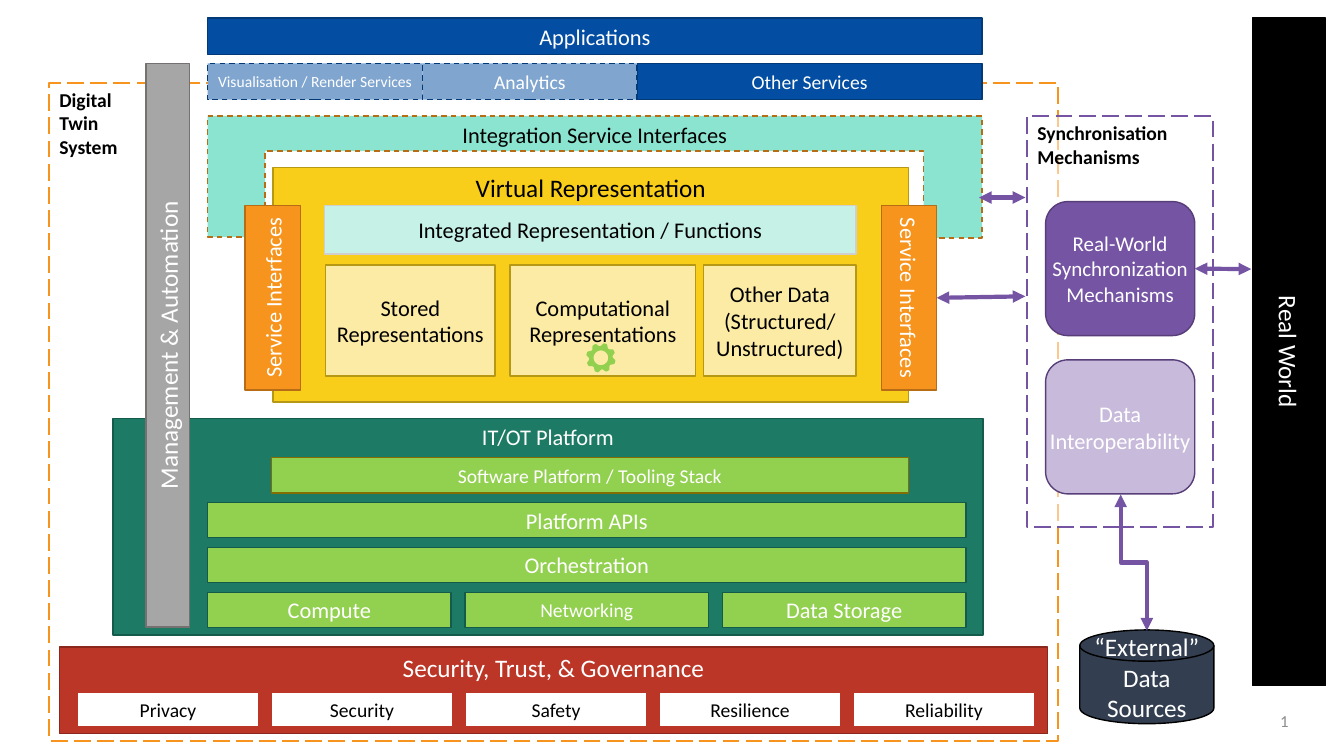
import math
from dataclasses import dataclass

import pptx
import pptx.dml.color
import pptx.enum.dml
import pptx.enum.shapes
import pptx.enum.text
import pptx.oxml
import pptx.oxml.ns
import pptx.util

Inches = pptx.util.Inches
Kind = pptx.enum.shapes.MSO_SHAPE
Link = pptx.enum.shapes.MSO_CONNECTOR
Dash = pptx.enum.dml.MSO_LINE
Anchor = pptx.enum.text.MSO_ANCHOR
Align = pptx.enum.text.PP_ALIGN


@dataclass(frozen=True)
class Theme:
    font: str = "Calibri"
    white: str = "FFFFFF"
    black: str = "000000"
    grey: str = "8C8C8C"
    blue: tuple = ("034EA2", "023A78")
    pale_blue: tuple = ("80A6D0", "023A78")
    yellow: tuple = ("F8CE1B", "B79814")
    cream: tuple = ("FCEBA4", "B79814")
    mint: tuple = ("C5F1E7", "D0CECE")
    aqua: tuple = ("8BE4CF", "B76D15")
    orange: tuple = ("F7941D", "B76D15")
    green: tuple = ("1D7B65", "155B4B")
    lime: tuple = ("92D050", "155B4B")
    tooling: tuple = ("92D050", "856D04")
    gear: tuple = ("92D050", "92D050")
    red: tuple = ("BB3627", "8A281D")
    pillar: tuple = ("FFFFFF", "BB3627")
    steel: tuple = ("A6A6A6", "767171")
    purple: tuple = ("7554A3", "573E79")
    lilac: tuple = ("C8BADB", "573E79")
    night: tuple = ("333F50", "000000")
    world: tuple = ("000000", "000000")
    system: tuple = ("FFFFFF", "F7941D")
    sync: tuple = ("FFFFFF", "7554A3")
    large: float = 18
    normal: float = 16
    medium: float = 15
    small: float = 14
    number: float = 12
    tiny: float = 11.1


theme = Theme()

# Content: text, format, and relative width where the columns differ
SERVICES = [
    ("Visualisation / Render Services", 2.13, dict(size=theme.tiny, colours=theme.pale_blue, dash=Dash.DASH, insets=(0.04,) * 4)),
    ("Analytics", 2.13, dict(size=theme.small, colours=theme.pale_blue, dash=Dash.DASH)),
    ("Other Services", 3.42, dict(size=theme.small, colours=theme.blue)),
]
REPRESENTATIONS = [
    ("Stored Representations", 3.23, 1.68),
    ("Computational Representations", 5.06, 1.84),
    ("Other Data\n(Structured/\nUnstructured)", 6.98, 1.51),
]
PLATFORM_ROWS = ["Platform APIs", "Orchestration"]
RESOURCES = [("Compute", theme.normal), ("Networking", theme.small), ("Data Storage", theme.normal)]
PILLARS = ["Privacy", "Security", "Safety", "Resilience", "Reliability"]
MECHANISMS = [
    ("Real-World\nSynchronization\nMechanisms", 2.0, theme.medium, theme.purple),
    ("Data\nInteroperability", 3.57, theme.normal, theme.lilac),
]

# Shared grid lines, in inches
STACK_LEFT, STACK_WIDTH = 2.06, 7.68
BAR_HEIGHT = 0.36
PLATFORM_TOP, PLATFORM_STEP, PLATFORM_WIDTH = 4.54, 0.445, 7.52
ROW_HEIGHT = 0.35

deck = pptx.Presentation()
deck.slide_width, deck.slide_height = Inches(13.33), Inches(7.5)
page = deck.slides.add_slide(deck.slide_layouts[6])


def rgb(value):
    return pptx.dml.color.RGBColor.from_string(value)


def write(shape, text, size=theme.normal, colour=theme.white, bold=False, align=Align.CENTER,
          anchor=Anchor.MIDDLE, insets=(0.1, 0.05, 0.1, 0.05), turn=None, wrap=True):
    frame = shape.text_frame
    frame.word_wrap = wrap
    frame.vertical_anchor = anchor
    frame.margin_left, frame.margin_top, frame.margin_right, frame.margin_bottom = map(Inches, insets)
    if turn:
        frame._txBody.bodyPr.set("vert", turn)
    for index, line in enumerate(text.split("\n")):
        para = frame.paragraphs[0] if index == 0 else frame.add_paragraph()
        para.alignment = align
        span = para.add_run()
        span.text = line
        span.font.name, span.font.size, span.font.bold = theme.font, pptx.util.Pt(size), bold
        span.font.color.rgb = rgb(colour)


def paint(shape, colours, dash=None, weight=1, opacity=None):
    shape.shadow.inherit = False
    shape.fill.solid()
    shape.fill.fore_color.rgb = rgb(colours[0])
    shape.line.color.rgb = rgb(colours[1])
    shape.line.width = pptx.util.Pt(weight)
    if dash:
        shape.line.dash_style = dash
    if opacity:
        colour = shape._element.spPr.find(pptx.oxml.ns.qn("a:solidFill"))[0]
        colour.append(pptx.oxml.parse_xml(
            f'<a:alpha {pptx.oxml.ns.nsdecls("a")} val="{opacity * 1000}"/>'))


def block(text, left, top, width, height, colours, kind=Kind.RECTANGLE,
          dash=None, weight=1, opacity=None, **text_format):
    shape = page.shapes.add_shape(kind, *map(Inches, (left, top, width, height)))
    paint(shape, colours, dash, weight, opacity)
    write(shape, text, **text_format)
    return shape


def outline(contours, colours, dash=None):
    builder = None
    for points in contours:
        start, *rest = [(Inches(x), Inches(y)) for x, y in points]
        if builder is None:
            builder = page.shapes.build_freeform(*start)
        else:
            builder.move_to(*start)
        builder.add_line_segments(rest, close=True)
    shape = builder.convert_to_shape()
    paint(shape, colours, dash)
    return shape


def arrow(start, end, kind=Link.STRAIGHT):
    line = page.shapes.add_connector(kind, *map(Inches, (*start, *end)))
    line.line.color.rgb = rgb(theme.purple[0])
    line.line.width = pptx.util.Pt(3)
    stroke = line.line._get_or_add_ln()
    for end_name in ("headEnd", "tailEnd"):
        stroke.append(pptx.oxml.parse_xml(
            f'<a:{end_name} {pptx.oxml.ns.nsdecls("a")} type="triangle"/>'))
    line._element.spPr.append(pptx.oxml.parse_xml(f'<a:effectLst {pptx.oxml.ns.nsdecls("a")}/>'))
    return line


def columns(left, width, count, gap):
    cell = (width - gap * (count - 1)) / count
    return [(left + index * (cell + gap), cell) for index in range(count)]


def ring(centre, radii, count, turn=0):
    return [(centre[0] + radii[i % len(radii)] * math.sin(turn + math.tau * i / count),
             centre[1] - radii[i % len(radii)] * math.cos(turn + math.tau * i / count))
            for i in range(count)]


# System boundary and virtual representation
heading = dict(size=theme.small, colour=theme.black, bold=True, align=Align.LEFT, anchor=Anchor.TOP)
boundary = dict(dash=Dash.LONG_DASH, weight=1.5, opacity=50)
block("Digital\nTwin\nSystem", 0.49, 0.82, 10, 6.53, theme.system, **boundary, **heading)
block("Virtual Representation", 2.71, 1.66, 6.3, 2.33, theme.yellow,
      size=theme.large, colour=theme.black, anchor=Anchor.TOP)
for text, left, width in REPRESENTATIONS:
    block(text, left, 2.63, width, 1.1, theme.cream, colour=theme.black)
block("Integrated Representation / Functions", 3.22, 2.04, 5.27, 0.48, theme.mint, colour=theme.black)

# Applications and services
block("Applications", STACK_LEFT, 0.18, STACK_WIDTH, BAR_HEIGHT, theme.blue)
left = STACK_LEFT
for text, width, look in SERVICES:
    block(text, left, 0.63, width, BAR_HEIGHT, **look)
    left += width

# Platform
block("IT/OT Platform", 1.12, 4.15, 8.63, 2.15, theme.green, anchor=Anchor.TOP)
block("Software Platform / Tooling Stack", 2.69, PLATFORM_TOP, 6.32, ROW_HEIGHT, theme.tooling, size=theme.small)
for row, text in enumerate(PLATFORM_ROWS, start=1):
    block(text, STACK_LEFT, PLATFORM_TOP + row * PLATFORM_STEP, PLATFORM_WIDTH, ROW_HEIGHT, theme.lime)
for (text, size), (left, width) in zip(RESOURCES, columns(STACK_LEFT, PLATFORM_WIDTH, len(RESOURCES), 0.14)):
    block(text, left, PLATFORM_TOP + 3 * PLATFORM_STEP, width, ROW_HEIGHT, theme.lime, size=size)

# Governance
block("Security, Trust, & Governance", 0.59, 6.42, 9.8, 0.86, theme.red, size=theme.large, anchor=Anchor.TOP)
for text, (left, width) in zip(PILLARS, columns(0.77, 9.49, len(PILLARS), 0.13)):
    block(text, left, 6.87, width, 0.34, theme.pillar, size=theme.small, colour=theme.black, insets=(0.04,) * 4)

# Integration arch and service interfaces
right = STACK_LEFT + STACK_WIDTH
arch = outline([[(STACK_LEFT, 1.15), (right, 1.15), (right, 2.36), (9.16, 2.36),
                 (9.16, 1.5), (2.63, 1.5), (2.63, 2.35), (STACK_LEFT, 2.35)]], theme.aqua, Dash.DASH)
write(arch, "Integration Service Interfaces", colour=theme.black, anchor=Anchor.TOP)
block("Service Interfaces", 2.43, 2.04, 0.55, 1.83, theme.orange, turn="vert270")
interface = block("Service Interfaces", 8.74, 2.04, 0.55, 1.83, theme.orange, turn="vert")
block("Management & Automation", 1.45, 0.63, 0.43, 5.59, theme.steel, size=theme.large, turn="vert270")

# Real world, synchronisation and external data
block("Real World", 12.42, 0.18, 0.73, 6.62, theme.world, size=theme.large, turn="vert")
block("“External”\nData Sources", 10.71, 6.25, 1.33, 0.93, theme.night,
      kind=Kind.FLOWCHART_MAGNETIC_DISK, size=theme.large, insets=(0.1, 0.05, 0.1, 0.2))
block("Synchronisation Mechanisms", 10.19, 1.15, 1.84, 4.08, theme.sync, **boundary, **heading)
real_world_sync, interoperability = [
    block(text, 10.37, top, 1.48, 1.33, colours, kind=Kind.ROUNDED_RECTANGLE,
          size=size, insets=(0,) * 4, wrap=False)
    for text, top, size, colours in MECHANISMS]

# Arrows
arrow((10.17, 1.96), (9.71, 1.96))
arrow((11.85, 2.67), (12.41, 2.67)).begin_connect(real_world_sync, 3)
arrow((10.17, 2.94), (9.29, 2.95)).end_connect(interface, 3)
data_link = arrow((11.92, 5.45), (10.57, 5.71), Link.ELBOW)
data_link._element.spPr.xfrm.set("rot", str(270 * 60000))

# Gear with eight teeth and a round hole
hub = (5.96, 3.55)
outline([ring(hub, (0.14, 0.14, 0.11, 0.11), 32, math.radians(12)), ring(hub, (0.08,), 24)], theme.gear)

# Page number
number = page.shapes.add_textbox(*map(Inches, (12.42, 6.95, 0.64, 0.4)))
write(number, "1", size=theme.number, colour=theme.grey)

deck.save("out.pptx")
